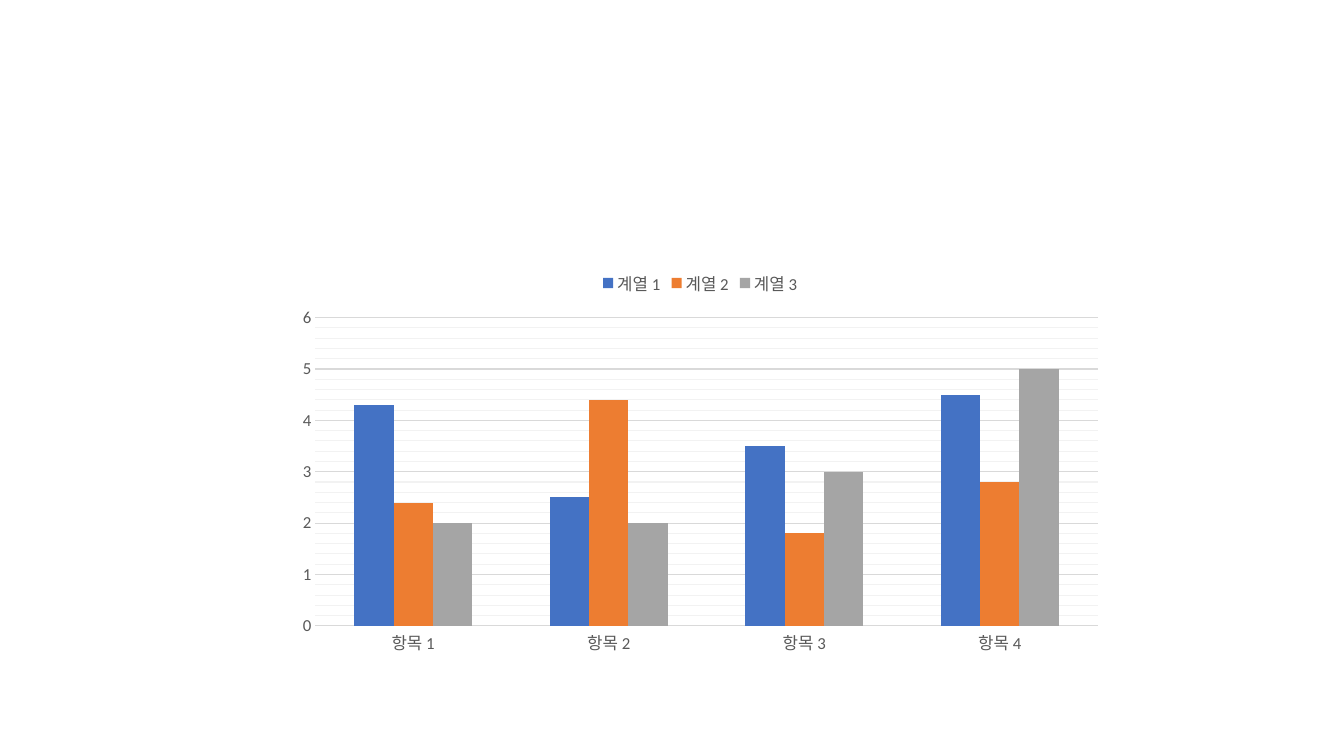
from copy import deepcopy
from dataclasses import dataclass

from pptx import Presentation
from pptx.chart.data import CategoryChartData
from pptx.dml.color import RGBColor
from pptx.enum.chart import XL_CHART_TYPE as ChartType
from pptx.enum.chart import XL_LEGEND_POSITION as LegendPosition
from pptx.enum.chart import XL_TICK_MARK as TickMark
from pptx.oxml.ns import qn
from pptx.util import Inches, Pt


@dataclass(frozen=True)
class Series:
    name: str
    values: tuple[float, ...]
    color: str


CATEGORIES = [f"항목 {number}" for number in range(1, 5)]
SERIES = [
    Series("계열 1", (4.3, 2.5, 3.5, 4.5), "4472C4"),
    Series("계열 2", (2.4, 4.4, 1.8, 2.8), "ED7D31"),
    Series("계열 3", (2, 2, 3, 5), "A5A5A5"),
]
VALUE_SCALE = {
    "minimum_scale": 0,
    "maximum_scale": 6,
    "major_unit": 1,
    "minor_unit": 0.2,
    "has_major_gridlines": True,
    "has_minor_gridlines": True,
}


def rgb(color: str) -> RGBColor:
    return RGBColor.from_string(color)


def apply_format(target, values: dict) -> None:
    for attribute, value in values.items():
        setattr(target, attribute, value)


def style_line(line, color: str) -> None:
    line.color.rgb = rgb(color)
    line.width = Pt(0.75)


def style_minor_gridlines(axis, color: str) -> None:
    """Give the minor gridlines the major ones' line in another colour."""
    axis_xml = axis._element
    major = axis_xml.find(qn("c:majorGridlines"))
    minor = axis_xml.find(qn("c:minorGridlines"))
    properties = deepcopy(major.find(qn("c:spPr")))
    next(properties.iter(qn("a:srgbClr"))).set("val", color)
    minor.append(properties)


def style_value_axis(axis) -> None:
    apply_format(axis, VALUE_SCALE)
    axis.format.line.fill.background()
    style_line(axis.major_gridlines.format.line, "D9D9D9")
    style_minor_gridlines(axis, "F2F2F2")


def add_column_chart(slide) -> None:
    data = CategoryChartData()
    data.categories = CATEGORIES
    for series in SERIES:
        data.add_series(series.name, series.values)

    chart = slide.shapes.add_chart(
        ChartType.COLUMN_CLUSTERED,
        Inches(2.84), Inches(2.57), Inches(8.21), Inches(4.01),
        data,
    ).chart
    apply_format(chart, {"has_title": False, "has_legend": True})
    apply_format(chart.legend, {"position": LegendPosition.TOP,
                                "include_in_layout": False})
    label_font = {"name": "Calibri", "size": Pt(12), "bold": False}
    category_axis, value_axis = chart.category_axis, chart.value_axis
    for font in (chart.font, chart.legend.font,
                 category_axis.tick_labels.font, value_axis.tick_labels.font):
        apply_format(font, label_font)
        font.color.rgb = rgb("595959")

    for axis in (category_axis, value_axis):
        apply_format(axis, {"major_tick_mark": TickMark.NONE,
                            "minor_tick_mark": TickMark.NONE})
    style_line(category_axis.format.line, "D9D9D9")
    style_value_axis(value_axis)

    columns = chart.plots[0]
    apply_format(columns, {"gap_width": 199, "overlap": 0,
                           "vary_by_categories": False})
    for column_series, series in zip(columns.series, SERIES):
        column_series.format.fill.solid()
        column_series.format.fill.fore_color.rgb = rgb(series.color)


def main() -> None:
    presentation = Presentation()
    presentation.slide_width = Inches(13.33)
    presentation.slide_height = Inches(7.5)
    blank_layout = presentation.slide_layouts.get_by_name("Blank")
    add_column_chart(presentation.slides.add_slide(blank_layout))
    presentation.save("out.pptx")


if __name__ == "__main__":
    main()
